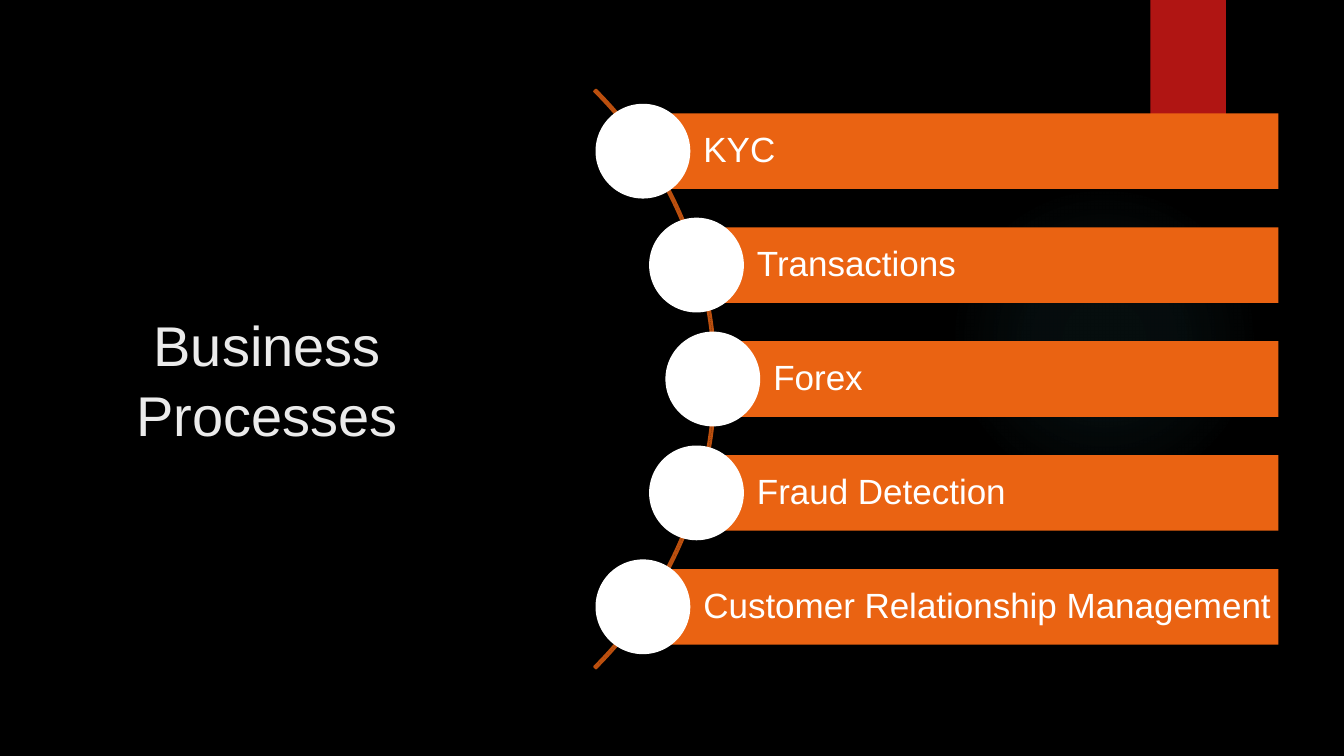
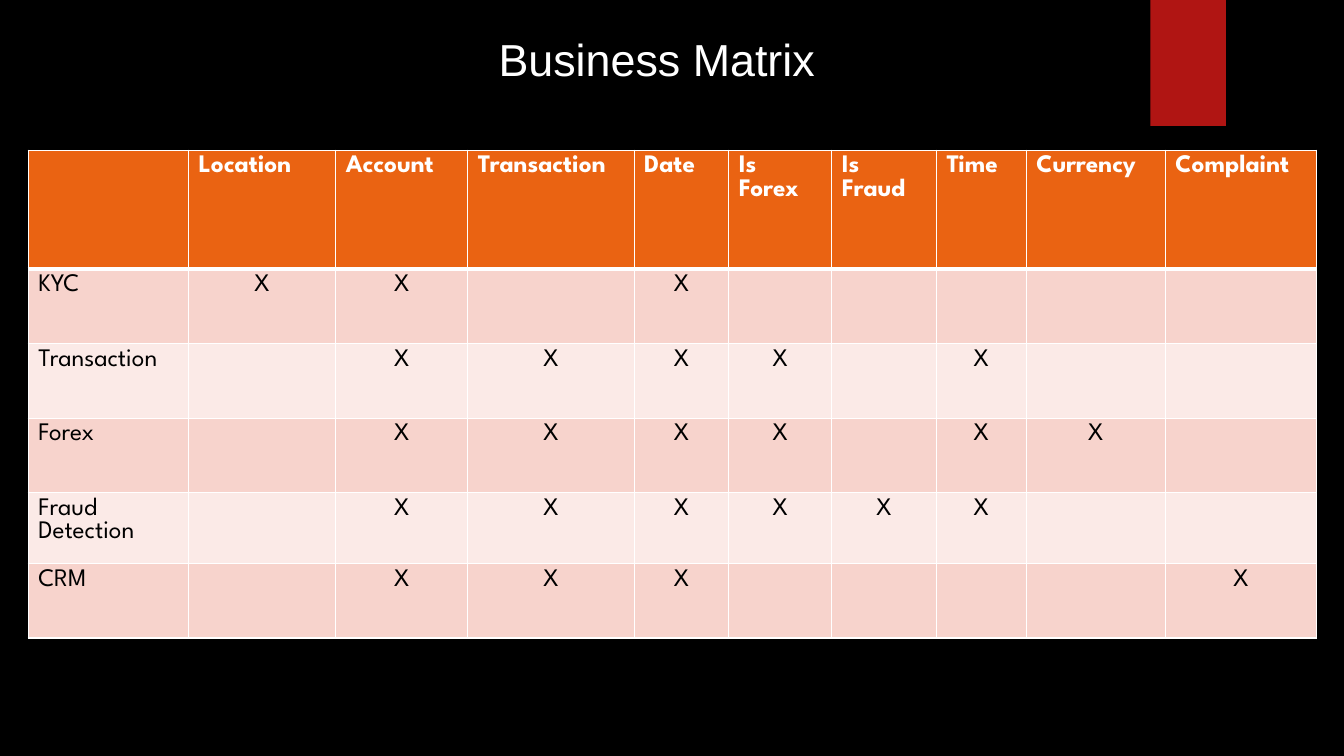
from dataclasses import dataclass
from math import sqrt

from lxml.etree import SubElement
from pptx import Presentation
from pptx.dml.color import RGBColor
from pptx.enum.shapes import MSO_SHAPE
from pptx.enum.text import MSO_ANCHOR, PP_ALIGN
from pptx.oxml import parse_xml
from pptx.oxml.ns import nsdecls, qn
from pptx.util import Inches, Pt

COLORS = {
    "back": "000000", "glow": "50B9C1", "tag": "B01513", "title": "EBEBEB",
    "orange": "EA6312", "arc": "BB4F0E", "white": "FFFFFF", "ink": "000000",
    "odd": "F7D3CC", "even": "FBEAE7",
}
SANS = "Arial"
SPARTAN = "League Spartan"


@dataclass
class Box:
    x: float
    y: float
    w: float
    h: float

    def place(self) -> tuple:
        return Inches(self.x), Inches(self.y), Inches(self.w), Inches(self.h)


@dataclass
class Step:
    label: str
    x: float  # centre of the dot
    y: float


@dataclass
class Row:
    label: str
    marks: str  # one sign per column, "X" or "-"
    height: float


def rgb(name: str) -> RGBColor:
    return RGBColor.from_string(COLORS[name])


def write(frame, text: str, *, size: float, color: str, font: str = SANS,
          bold: bool = False, align=PP_ALIGN.LEFT, space: float = 1.0) -> None:
    frame.word_wrap = True
    para = frame.paragraphs[0]
    para.alignment = align
    para.line_spacing = space
    run = para.add_run()
    run.text = text
    run.font.size = Pt(size)
    run.font.name = font
    run.font.bold = bold
    run.font.color.rgb = rgb(color)


def draw(slide, kind, box: Box, fill: str = ""):
    shape = slide.shapes.add_shape(kind, *box.place())
    shape.shadow.inherit = False
    shape.line.fill.background()
    if fill:
        shape.fill.solid()
        shape.fill.fore_color.rgb = rgb(fill)
    else:
        shape.fill.background()
    return shape


def label(slide, box: Box, text: str, anchor=MSO_ANCHOR.TOP, **style) -> None:
    frame = slide.shapes.add_textbox(*box.place()).text_frame
    frame.vertical_anchor = anchor
    write(frame, text, align=PP_ALIGN.CENTER, **style)


# Shared backdrop: black ground, faint glow, red tag
def add_glow(slide) -> None:
    glow = draw(slide, MSO_SHAPE.OVAL, Box(9.41, 1.83, 3.08, 3.08))
    stops = "".join(
        f'<a:gs pos="{pos * 1000}"><a:srgbClr val="{COLORS["glow"]}">'
        f'<a:alpha val="{alpha * 1000}"/></a:srgbClr></a:gs>'
        for pos, alpha in ((0, 7), (36, 6), (69, 0), (100, 0)))
    grad = parse_xml(
        f'<a:gradFill {nsdecls("a")}><a:gsLst>{stops}</a:gsLst>'
        '<a:path path="circle"><a:fillToRect l="50000" t="50000" '
        'r="50000" b="50000"/></a:path></a:gradFill>')
    props = glow.element.spPr
    props.replace(props.find(qn("a:noFill")), grad)


def new_slide(deck):
    slide = deck.slides.add_slide(deck.slide_layouts[6])
    slide.background.fill.solid()
    slide.background.fill.fore_color.rgb = rgb("back")
    add_glow(slide)
    draw(slide, MSO_SHAPE.RECTANGLE, Box(11.41, 0, 0.75, 1.25), "tag")
    return slide


# Slide 1: steps strung along an arc
STEPS = ["KYC", "Transactions", "Forex", "Fraud Detection",
         "Customer Relationship Management"]
MID_X, MID_Y, ARC = 3.04, 3.76, 8.12
CURVE = 4.03
PITCH, BAR, DOT = 1.13, 0.75, 0.94
RIGHT = 12.68


def add_step(slide, step: Step) -> None:
    bar = draw(slide, MSO_SHAPE.RECTANGLE,
               Box(step.x, step.y - BAR / 2, RIGHT - step.x, BAR), "orange")
    frame = bar.text_frame
    frame.margin_left = Inches(0.6)
    frame.margin_right = Inches(0.04)
    frame.vertical_anchor = MSO_ANCHOR.MIDDLE
    write(frame, step.label, size=25, color="white", space=0.9)
    draw(slide, MSO_SHAPE.OVAL,
         Box(step.x - DOT / 2, step.y - DOT / 2, DOT, DOT), "white")


def add_process(deck) -> None:
    slide = new_slide(deck)
    label(slide, Box(0.68, 1.27, 3.94, 4.95), "Business Processes",
          MSO_ANCHOR.MIDDLE, size=40, color="title", space=1.04)
    arc = draw(slide, MSO_SHAPE.BLOCK_ARC,
               Box(MID_X - ARC / 2, MID_Y - ARC / 2, ARC, ARC))
    for i, value in enumerate((189, 27, 0.003)):
        arc.adjustments[i] = value
    arc.line.color.rgb = rgb("arc")
    arc.line.width = Pt(1.5)
    for i, text in enumerate(STEPS):
        drop = (i - len(STEPS) // 2) * PITCH
        add_step(slide, Step(text, MID_X + sqrt(CURVE ** 2 - drop ** 2),
                             MID_Y + drop))


# Slide 2: which process uses which field
HEADS = ["", "Location", "Account", "Transaction", "Date", "Is Forex",
         "Is Fraud", "Time", "Currency", "Complaint"]
WIDTHS = [1.59, 1.46, 1.31, 1.65, 0.94, 1.02, 1.04, 0.89, 1.38, 1.5]
TOP = 1.18
ROWS = [
    Row("KYC", "XX-X-----", 0.74),
    Row("Transaction", "-XXXX-X--", 0.74),
    Row("Forex", "-XXXX-XX-", 0.74),
    Row("Fraud Detection", "-XXXXXX--", 0.69),
    Row("CRM", "-XXX----X", 0.74),
]


def edge(cell, **widths: float) -> None:
    props = cell._tc.get_or_add_tcPr()
    for side in "LRTB":
        line = SubElement(props, qn(f"a:ln{side}"),
                          w=str(Pt(widths.get(side, 1))))
        fill = SubElement(line, qn("a:solidFill"))
        SubElement(fill, qn("a:srgbClr"), val=COLORS["white"])


def paint(cell, text: str, fill: str, **style) -> None:
    cell.fill.solid()
    cell.fill.fore_color.rgb = rgb(fill)
    if text:
        write(cell.text_frame, text, size=18, font=SPARTAN, **style)


def add_matrix(deck) -> None:
    slide = new_slide(deck)
    tall = [TOP] + [row.height for row in ROWS]
    box = Box(0.28, 1.49, sum(WIDTHS), sum(tall))
    table = slide.shapes.add_table(len(tall), len(WIDTHS), *box.place()).table
    table.horz_banding = False
    for col, width in zip(table.columns, WIDTHS):
        col.width = Inches(width)
    for line, height in zip(table.rows, tall):
        line.height = Inches(height)

    for c, head in enumerate(HEADS):
        cell = table.cell(0, c)
        edge(cell, B=3)
        paint(cell, head, "orange", color="white", bold=True)
    for r, row in enumerate(ROWS, 1):
        for c, text in enumerate([row.label, *row.marks]):
            cell = table.cell(r, c)
            edge(cell, T=3 if r == 1 else 1)
            paint(cell, text.strip("-"), "odd" if r % 2 else "even",
                  color="ink",
                  align=PP_ALIGN.CENTER if c else PP_ALIGN.LEFT)

    label(slide, Box(3.89, 0.27, 5.25, 0.64), "Business Matrix",
          size=32, color="white")


def main() -> None:
    deck = Presentation()
    deck.slide_width = Inches(13.33)
    deck.slide_height = Inches(7.5)
    add_process(deck)
    add_matrix(deck)
    deck.save("out.pptx")


if __name__ == "__main__":
    main()
